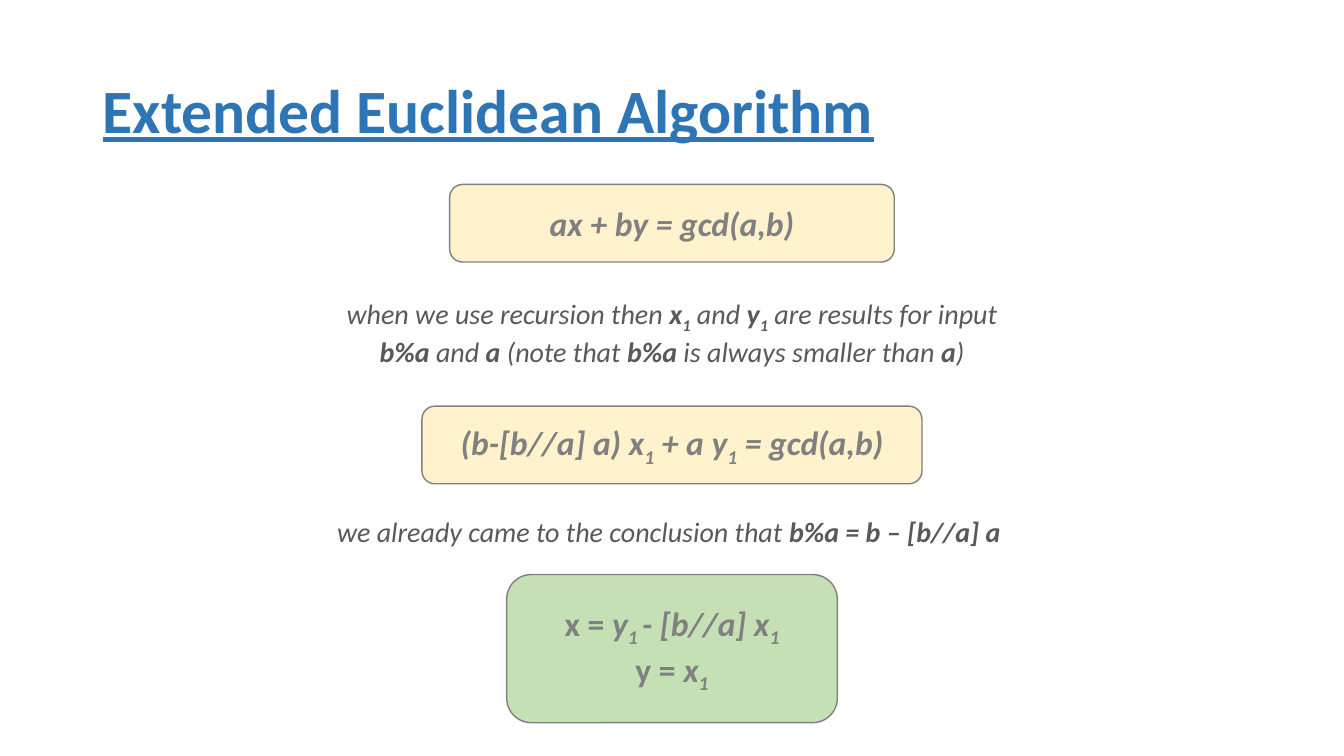
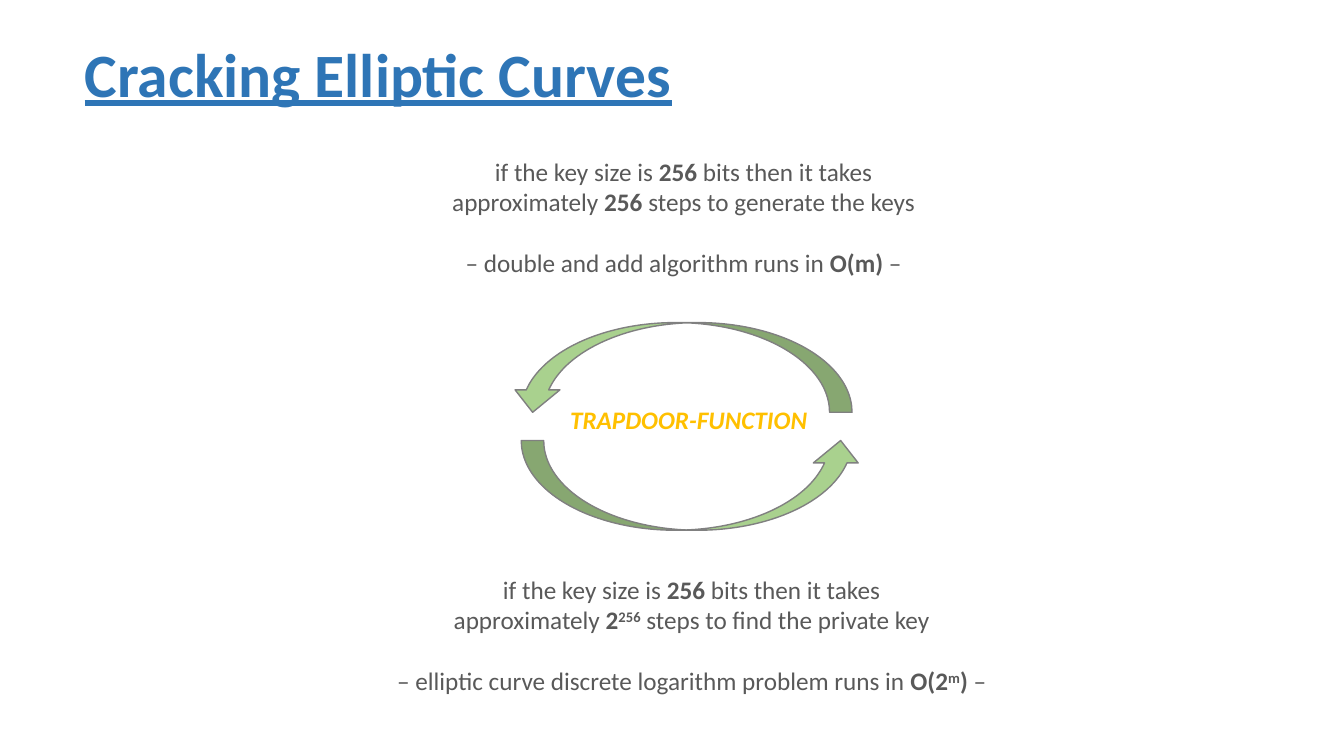
from dataclasses import dataclass
from typing import NamedTuple
from pptx import Presentation
from pptx.dml import color
from pptx.enum import shapes, text
from pptx.util import Inches, Pt


@dataclass(frozen=True)
class Theme:
    font: str = "Calibri"
    blue: str = "2E75B6"
    gray: str = "808080"
    ink: str = "595959"
    gold: str = "FFC000"
    cream: str = "FFF2CC"
    mint: str = "C5E0B4"
    green: str = "A9D18E"
    title: int = 44
    large: int = 24
    note: int = 20
    body: int = 18
    gap: int = 22


class Box(NamedTuple):
    x: float
    y: float
    w: float
    h: float

    def inner(self, x, y, w, h):
        return Box(self.x + x, self.y + y, w, h)

    def middle(self, y, w, h):
        return self.inner((self.w - w) / 2, y, w, h)

    def emu(self):
        return [Inches(v) for v in self]


T = Theme()
SHIFT = {"_": "-25000", "^": "30000"}


def paint(run, size, tint, flags=""):
    font = run.font
    font.name, font.size = T.font, Pt(size)
    font.color.rgb = color.RGBColor.from_string(tint)
    font.bold, font.italic = "b" in flags, "i" in flags
    for mark, base in SHIFT.items():
        if mark in flags:
            run._r.get_or_add_rPr().set("baseline", base)


def write(frame, lines, size, tint, flags="", gaps=()):
    for n, line in enumerate(lines):
        para = frame.paragraphs[0] if n == 0 else frame.add_paragraph()
        para.alignment = text.PP_ALIGN.CENTER
        if n in gaps:
            para.space_before = Pt(T.gap)
        for piece in line:
            words, extra = (piece, "") if isinstance(piece, str) else piece
            run = para.add_run()
            run.text = words
            paint(run, size, tint, flags + extra)


def label(slide, box, lines, size, tint, flags="", gaps=()):
    frame = slide.shapes.add_textbox(*box.emu()).text_frame
    frame.word_wrap = False
    write(frame, lines, size, tint, flags, gaps)


def solid(slide, kind, box, fill):
    shape = slide.shapes.add_shape(kind, *box.emu())
    shape.shadow.inherit = False
    shape.fill.solid()
    shape.fill.fore_color.rgb = color.RGBColor.from_string(fill)
    shape.line.color.rgb = color.RGBColor.from_string(T.gray)
    shape.line.width = Pt(1)
    return shape


def card(slide, box, fill, lines, flags="b"):
    shape = solid(slide, shapes.MSO_SHAPE.ROUNDED_RECTANGLE, box, fill)
    frame = shape.text_frame
    frame.vertical_anchor = text.MSO_ANCHOR.MIDDLE
    write(frame, lines, T.large, T.gray, flags)


def start(deck, name, box):
    slide = deck.slides.add_slide(deck.slide_layouts[5])
    title = slide.shapes.title
    title.left, title.top, title.width, title.height = box.emu()
    frame = title.text_frame
    frame.text = name
    frame.auto_size = text.MSO_AUTO_SIZE.NONE
    frame.vertical_anchor = text.MSO_ANCHOR.MIDDLE
    para = frame.paragraphs[0]
    para.alignment, para.line_spacing = text.PP_ALIGN.LEFT, 0.9
    paint(para.runs[0], T.title, T.blue, "b")
    para.runs[0].font.underline = True
    return slide


def proof(slide, box):
    one = ("1", "_")
    card(slide, box.middle(0, 4.41, 0.77), T.cream, [["ax + by = gcd(a,b)"]], "bi")
    label(slide, box.middle(1.06, 6.85, 0.77), [
        ["when we use recursion then ", ("x", "b"), ("1", "b_"), " and ",
         ("y", "b"), ("1", "b_"), " are results for input"],
        [("b%a", "b"), " and ", ("a", "b"), " (note that ", ("b%a", "b"),
         " is always smaller than ", ("a", "b"), ")"],
    ], T.note, T.ink, "i")
    card(slide, box.middle(2.2, 4.96, 0.77), T.cream,
         [["(b-[b//a] a) x", one, " + a y", one, " = gcd(a,b)"]], "bi")
    label(slide, box.middle(3.23, 6.89, 0.44), [
        ["we already came to the conclusion that ", ("b%a = b – [b//a] a ", "b")],
    ], T.note, T.ink, "i")
    card(slide, box.middle(3.87, 3.28, 1.47), T.mint, [
        ["x = ", ("y", "i"), ("1 ", "i_"), ("- [b//a] x", "i"), ("1", "i_")],
        ["y = ", ("x", "i"), ("1", "i_")],
    ])


def cost(slide, box, steps, claim):
    size = ["if the key size is ", ("256", "b"), " bits then it takes"]
    label(slide, box, [size, steps, claim], T.body, T.ink, gaps=(2,))


def cycle(slide, box):
    w, h = 3.39, 0.89
    kind = shapes.MSO_SHAPE.CURVED_UP_ARROW
    solid(slide, kind, box.inner(box.w - w, box.h - h, w, h), T.green)
    solid(slide, kind, box.inner(0, 0, w, h), T.green).rotation = 180
    label(slide, box.inner(0.48, 0.76, 2.58, 0.4), [["TRAPDOOR-FUNCTION"]],
          T.body, T.gold, "bi")


def main():
    deck = Presentation()
    deck.slide_width, deck.slide_height = Inches(13.33), Inches(7.5)

    slide = start(deck, "Extended Euclidean Algorithm", Box(0.92, 0.4, 11.5, 1.45))
    proof(slide, Box(3.22, 1.83, 6.89, 5.34))

    slide = start(deck, "Cracking Elliptic Curves", Box(0.74, 0.04, 11.5, 1.45))
    cost(slide, Box(4.36, 1.5, 4.84, 1.31),
         ["approximately ", ("256", "b"), " steps to generate the keys"],
         ["– double and add algorithm runs in ", ("O(m)", "b"), " –"])
    cost(slide, Box(3.76, 5.65, 6.2, 1.31),
         ["approximately ", ("2", "b"), ("256", "b^"), " steps to find the private key"],
         ["– elliptic curve discrete logarithm problem runs in ",
          ("O(2", "b"), ("m", "b^"), (")", "b"), " –"])
    cycle(slide, Box(5.06, 3.2, 3.5, 2.06))

    deck.save("out.pptx")


if __name__ == "__main__":
    main()
